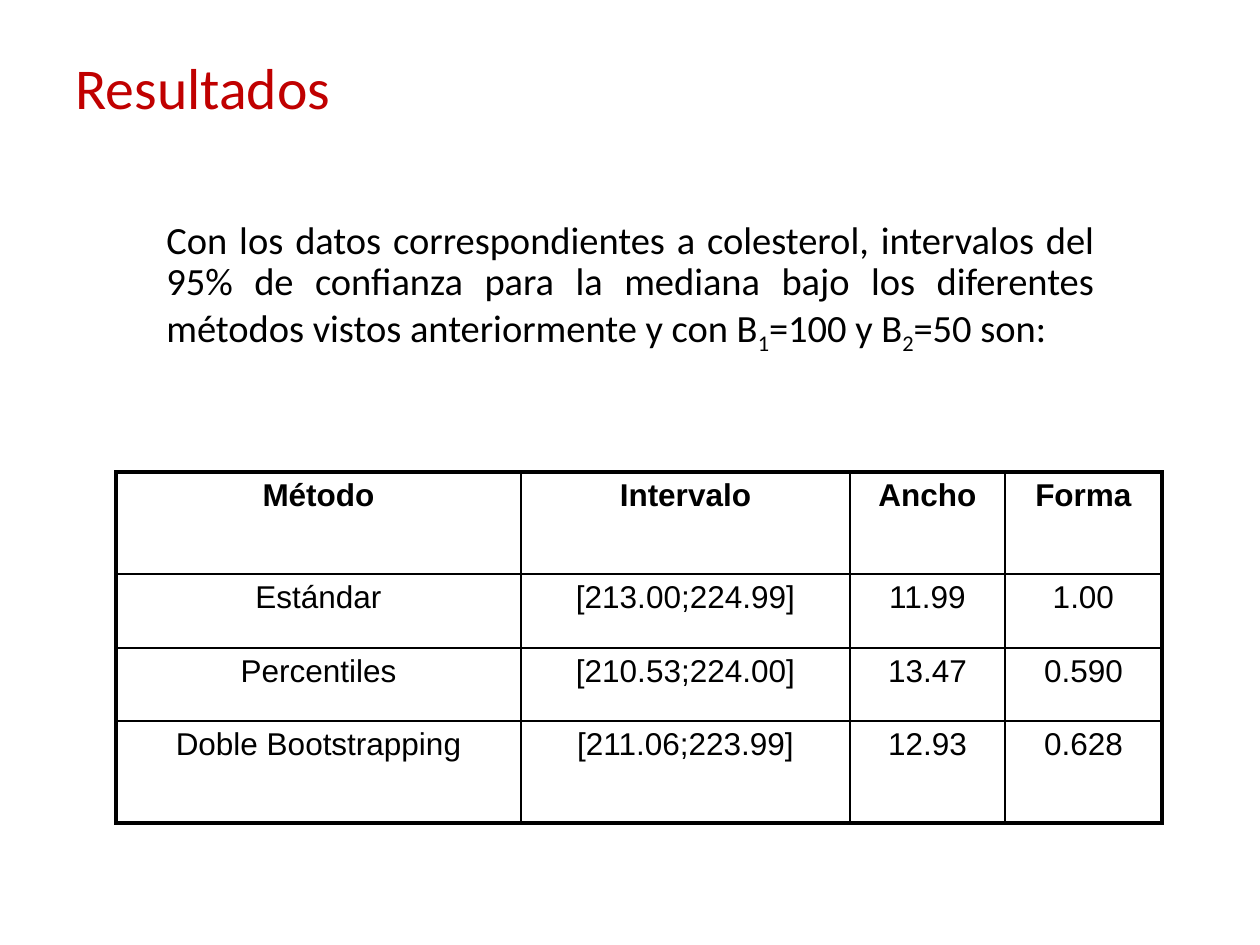
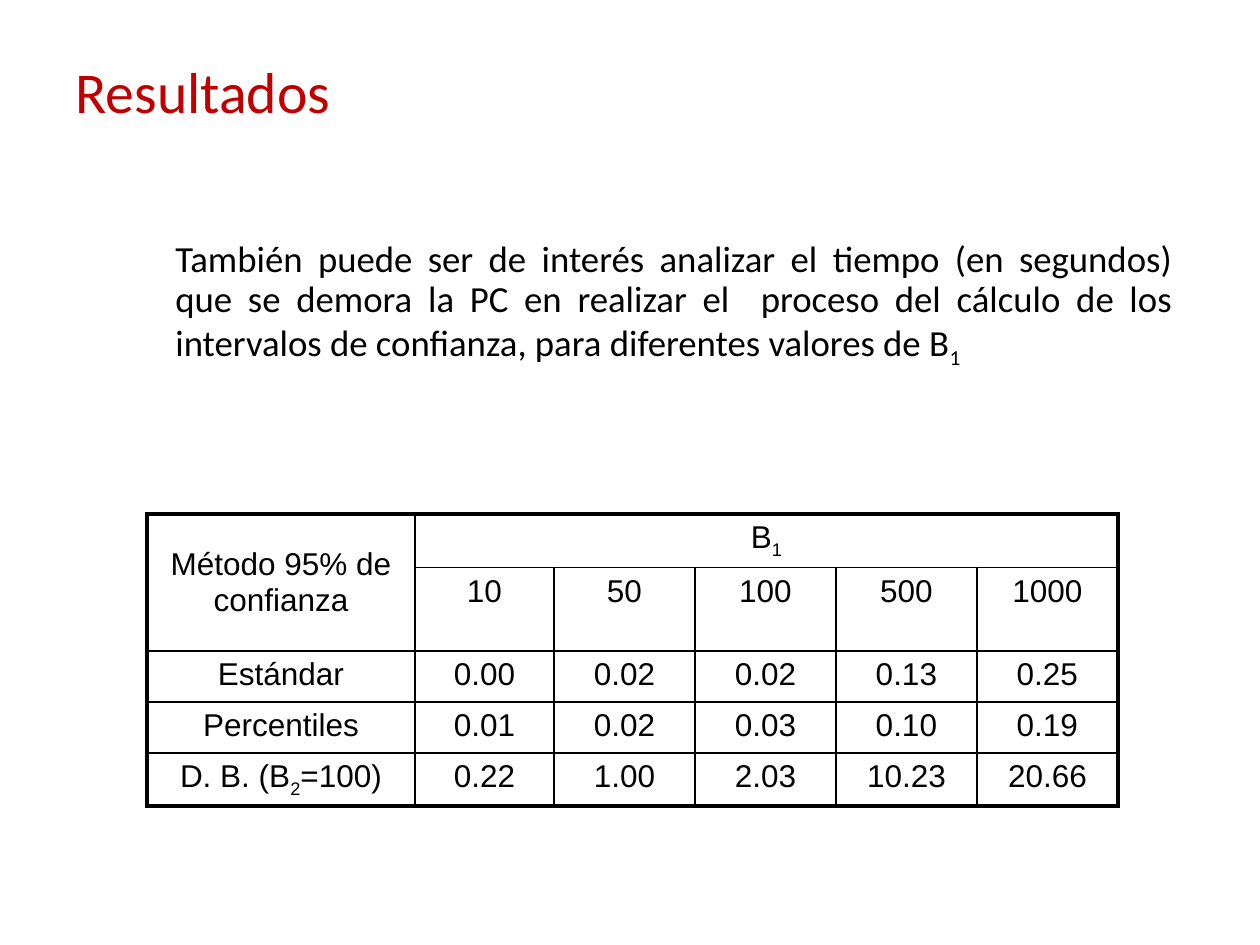
from pptx import Presentation
from pptx.dml.color import RGBColor
from pptx.enum.text import MSO_ANCHOR, PP_ALIGN
from pptx.oxml import parse_xml
from pptx.oxml.ns import nsdecls
from pptx.util import Emu, Pt

PX = 914400 // 126
RED, BLACK = "C00000", "000000"
THICK, THIN = 2.25, 1

PAGES = [
    dict(
        title="Resultados", head=(63, 38, 1134, 106),
        body="Con los datos correspondientes a colesterol, intervalos del 95% de "
             "confianza para la mediana bajo los diferentes métodos vistos "
             "anteriormente y con B~1~=100 y B~2~=50 son:",
        area=(154, 215, 953, 267), size=22,
        origin=(116, 472), cols=(405, 329, 155, 157), rows=(102, 74, 73, 102),
        merges=[], bold=True, foot=6,
        cells=[
            ("Método", "Intervalo", "Ancho", "Forma"),
            ("Estándar", "[213.00;224.99]", "11.99", "1.00"),
            ("Percentiles", "[210.53;224.00]", "13.47", "0.590"),
            ("Doble Bootstrapping", "[211.06;223.99]", "12.93", "0.628"),
        ],
    ),
    dict(
        title="Resultados", head=(63, 38, 1134, 113),
        body="También puede ser de interés analizar el tiempo (en segundos) que se "
             "demora la PC en realizar el  proceso del cálculo de los intervalos "
             "de confianza, para diferentes valores de B~1~",
        area=(163, 235, 1022, 255), size=21,
        origin=(147, 514), cols=(268,) + (139,) + (141,) * 4,
        rows=(53, 52, 51, 51, 50),
        merges=[(0, 0, 1, 0), (0, 1, 0, 5)], bold=False, foot=4,
        cells=[
            ("Método 95% de confianza", "B~1~", None, None, None, None),
            (None, "10", "50", "100", "500", "1000"),
            ("Estándar", "0.00", "0.02", "0.02", "0.13", "0.25"),
            ("Percentiles", "0.01", "0.02", "0.03", "0.10", "0.19"),
            ("D. B. (B~2~=100)", "0.22", "1.00", "2.03", "10.23", "20.66"),
        ],
    ),
]


def px(*vals):
    return [Emu(round(v * PX)) for v in vals]


def color(code):
    return RGBColor.from_string(code)


def write(frame, text, size=18, font="Arial", ink=BLACK, bold=False,
          align=PP_ALIGN.CENTER, line=None, before=None):
    frame.word_wrap = True
    para = frame.paragraphs[0]
    para.alignment = align
    para.line_spacing = line
    para.space_before = before
    for i, part in enumerate(text.split("~")):
        if not part:
            continue
        run = para.add_run()
        run.text = part
        run.font.size = Pt(size)
        run.font.name = font
        run.font.bold = bold
        run.font.color.rgb = color(ink)
        if i % 2:
            run.font._element.set("baseline", "-25000")


def border(cell, widths):
    props = cell._tc.get_or_add_tcPr()
    for i, (side, wide) in enumerate(zip("LRTB", widths)):
        props.insert(i, parse_xml(
            f'<a:ln{side} {nsdecls("a")} w="{Pt(wide)}"><a:solidFill>'
            f'<a:srgbClr val="{BLACK}"/></a:solidFill></a:ln{side}>'))


def add_grid(slide, page):
    cols, rows, cells = page["cols"], page["rows"], page["cells"]
    spot = px(*page["origin"], sum(cols), sum(rows))
    foot = px(page["foot"])[0]
    grid = slide.shapes.add_table(len(rows), len(cols), *spot).table
    grid.first_row = grid.horz_banding = False
    for col, wide in zip(grid.columns, cols):
        col.width = px(wide)[0]
    for row, tall in zip(grid.rows, rows):
        row.height = px(tall)[0]
    for top, left, low, right in page["merges"]:
        grid.cell(top, left).merge(grid.cell(low, right))
    for r, line in enumerate(cells):
        for c, text in enumerate(line):
            cell = grid.cell(r, c)
            low, right = r, c
            if cell.is_merge_origin:
                low += cell.span_height - 1
                right += cell.span_width - 1
            cell.fill.background()
            cell.margin_bottom = foot
            edges = (c == 0, right == len(cols) - 1, r == 0, low == len(rows) - 1)
            border(cell, [THICK if edge else THIN for edge in edges])
            if text:
                write(cell.text_frame, text, bold=page["bold"] and r == 0)
            if low > r:
                cell.vertical_anchor = MSO_ANCHOR.MIDDLE
                cell.margin_top = foot


def add_page(deck, page):
    slide = deck.slides.add_slide(deck.slide_layouts[5])
    title = slide.shapes.title
    title.left, title.top, title.width, title.height = px(*page["head"])
    title.text_frame.vertical_anchor = MSO_ANCHOR.MIDDLE
    write(title.text_frame, page["title"], size=33, font="Calibri", ink=RED,
          align=PP_ALIGN.LEFT, line=0.9)
    box = slide.shapes.add_textbox(*px(*page["area"]))
    write(box.text_frame, page["body"], size=page["size"], font="Calibri",
          align=PP_ALIGN.JUSTIFY, line=0.9, before=Pt(7.5))
    add_grid(slide, page)


deck = Presentation()
deck.slide_width, deck.slide_height = px(1260, 945)
for page in PAGES:
    add_page(deck, page)
deck.save("out.pptx")
